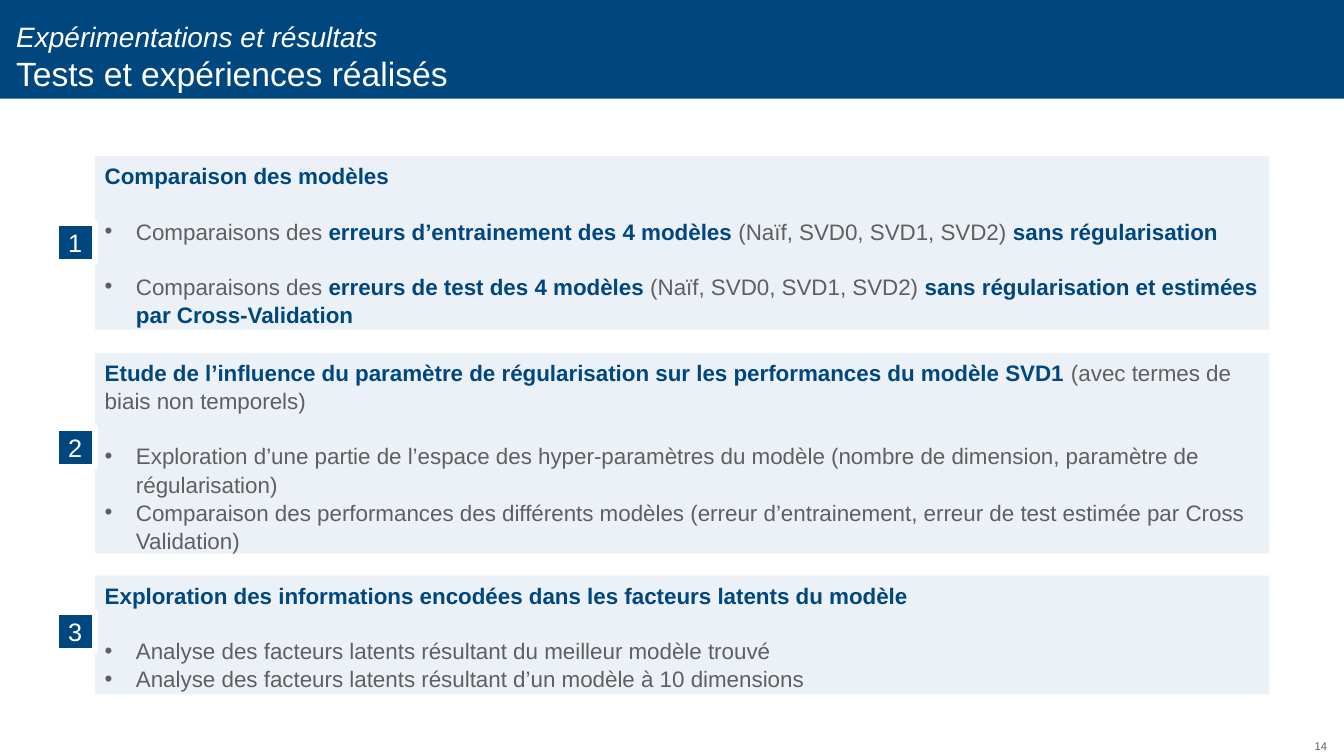
from dataclasses import dataclass

from lxml.etree import SubElement
from pptx import Presentation
from pptx.dml.color import RGBColor
from pptx.enum.shapes import MSO_SHAPE as Preset
from pptx.enum.text import MSO_ANCHOR as Anchor, MSO_AUTO_SIZE as AutoSize, PP_ALIGN as Align
from pptx.oxml.ns import qn
from pptx.util import Inches, Pt

COLORS = {"navy": "00477F", "pale": "EBF1F7", "gray": "5F5F5F", "white": "FFFFFF"}
FONT = "Arial"
BODY_LINE = 1.05
BLANK_LINE = Pt(19.3)


@dataclass
class Phrase:
    text: str
    strong: bool = False


@dataclass
class Bullet:
    phrases: list[Phrase]
    spaced: bool = False


@dataclass
class Topic:
    number: int
    top: float
    height: float
    badge_top: float
    heading: list[Phrase]
    bullets: list[Bullet]


TOPICS = [
    Topic(1, 1.55, 1.72, 2.21, [Phrase("Comparaison des modèles", True)], [
        Bullet([
            Phrase("Comparaisons des "),
            Phrase("erreurs d’entrainement des 4 modèles ", True),
            Phrase("(Naïf, SVD0, SVD1, SVD2) "),
            Phrase("sans régularisation", True),
        ], spaced=True),
        Bullet([
            Phrase("Comparaisons des "),
            Phrase("erreurs de test des 4 modèles ", True),
            Phrase("(Naïf, SVD0, SVD1, SVD2) "),
            Phrase("sans régularisation et estimées par Cross-Validation", True),
        ], spaced=True),
    ]),
    Topic(2, 3.5, 1.99, 4.24, [
        Phrase("Etude de l’influence du paramètre de régularisation "
               "sur les performances du modèle SVD1 ", True),
        Phrase("(avec termes de biais non temporels)"),
    ], [
        Bullet([Phrase("Exploration d’une partie de l’espace des hyper-paramètres du modèle "
                       "(nombre de dimension, paramètre de régularisation)")], spaced=True),
        Bullet([Phrase("Comparaison des performances des différents modèles "
                       "(erreur d’entrainement, erreur de test estimée par Cross Validation)")]),
    ]),
    Topic(3, 5.71, 1.18, 6.07, [
        Phrase("Exploration des informations encodées dans les facteurs latents du modèle", True),
    ], [
        Bullet([Phrase("Analyse des facteurs latents résultant du meilleur modèle trouvé")],
               spaced=True),
        Bullet([Phrase("Analyse des facteurs latents résultant d’un modèle à 10 dimensions")]),
    ]),
]


def write_text(paragraph, text: str, *, size: float, color: str,
               bold: bool = False, italic: bool = False) -> None:
    run = paragraph.add_run()
    run.text = text
    font = run.font
    font.name, font.size = FONT, Pt(size)
    font.bold, font.italic = bold, italic
    font.color.rgb = RGBColor.from_string(COLORS[color])


def add_block(slide, left: float, top: float, width: float, height: float,
              fill: str, outline: str | None = None):
    block = slide.shapes.add_shape(
        Preset.RECTANGLE, Inches(left), Inches(top), Inches(width), Inches(height))
    block.shadow.inherit = False
    block.fill.solid()
    block.fill.fore_color.rgb = RGBColor.from_string(COLORS[fill])
    if outline:
        block.line.color.rgb = RGBColor.from_string(COLORS[outline])
        block.line.width = Pt(4.5)
    else:
        block.line.fill.background()
    return block


def write_phrases(paragraph, phrases: list[Phrase]) -> None:
    paragraph.alignment = Align.LEFT
    paragraph.line_spacing = BODY_LINE
    for phrase in phrases:
        write_text(paragraph, phrase.text, size=16, bold=phrase.strong,
                   color="navy" if phrase.strong else "gray")


def set_bullet(paragraph) -> None:
    properties = paragraph._p.get_or_add_pPr()
    properties.set("marL", str(Inches(0.31)))
    properties.set("indent", str(Inches(-0.31)))
    SubElement(properties, qn("a:buFont"), typeface=FONT)
    SubElement(properties, qn("a:buChar"), char="•")


def add_topic(slide, topic: Topic) -> None:
    panel = add_block(slide, 0.94, topic.top, 11.65, topic.height, "pale")
    frame = panel.text_frame
    frame.word_wrap = True
    frame.auto_size = AutoSize.SHAPE_TO_FIT_TEXT
    frame.vertical_anchor = Anchor.TOP
    write_phrases(frame.paragraphs[0], topic.heading)
    for bullet in topic.bullets:
        paragraph = frame.add_paragraph()
        write_phrases(paragraph, bullet.phrases)
        if bullet.spaced:
            paragraph.space_before = BLANK_LINE
        set_bullet(paragraph)

    badge = add_block(slide, 0.55, topic.badge_top, 0.39, 0.39, "navy", outline="white")
    badge.text_frame.vertical_anchor = Anchor.MIDDLE
    label = badge.text_frame.paragraphs[0]
    label.alignment = Align.CENTER
    write_text(label, str(topic.number), size=18, color="white")


def add_header(slide) -> None:
    title = slide.shapes.title
    band = add_block(slide, -0.01, -0.03, 13.35, 1.01, "navy")
    title.element.addprevious(band.element)
    title.left, title.top = Inches(0), Inches(-0.03)
    title.width, title.height = Inches(13.35), Inches(1.01)
    frame = title.text_frame
    frame.word_wrap = True
    frame.auto_size = AutoSize.NONE
    frame.vertical_anchor = Anchor.BOTTOM
    frame.margin_left, frame.margin_top = Inches(0.16), Inches(0.08)
    frame.margin_right, frame.margin_bottom = Inches(0.1), Inches(0.05)
    heading = frame.paragraphs[0]
    heading.alignment = Align.LEFT
    write_text(heading, "Expérimentations et résultats", size=20, color="white", italic=True)
    heading.add_line_break()
    write_text(heading, "Tests et expériences réalisés", size=24, color="white")


def add_page_number(slide, number: int) -> None:
    page = slide.shapes.add_textbox(Inches(12.48), Inches(7.29), Inches(0.78), Inches(0.22))
    page.text_frame.word_wrap = True
    paragraph = page.text_frame.paragraphs[0]
    paragraph.alignment = Align.RIGHT
    write_text(paragraph, str(number), size=8, color="gray")


def main() -> None:
    deck = Presentation()
    deck.slide_width, deck.slide_height = Inches(13.33), Inches(7.5)
    slide = deck.slides.add_slide(deck.slide_layouts[5])
    add_header(slide)
    add_page_number(slide, 14)
    for topic in TOPICS:
        add_topic(slide, topic)
    deck.save("out.pptx")


if __name__ == "__main__":
    main()
